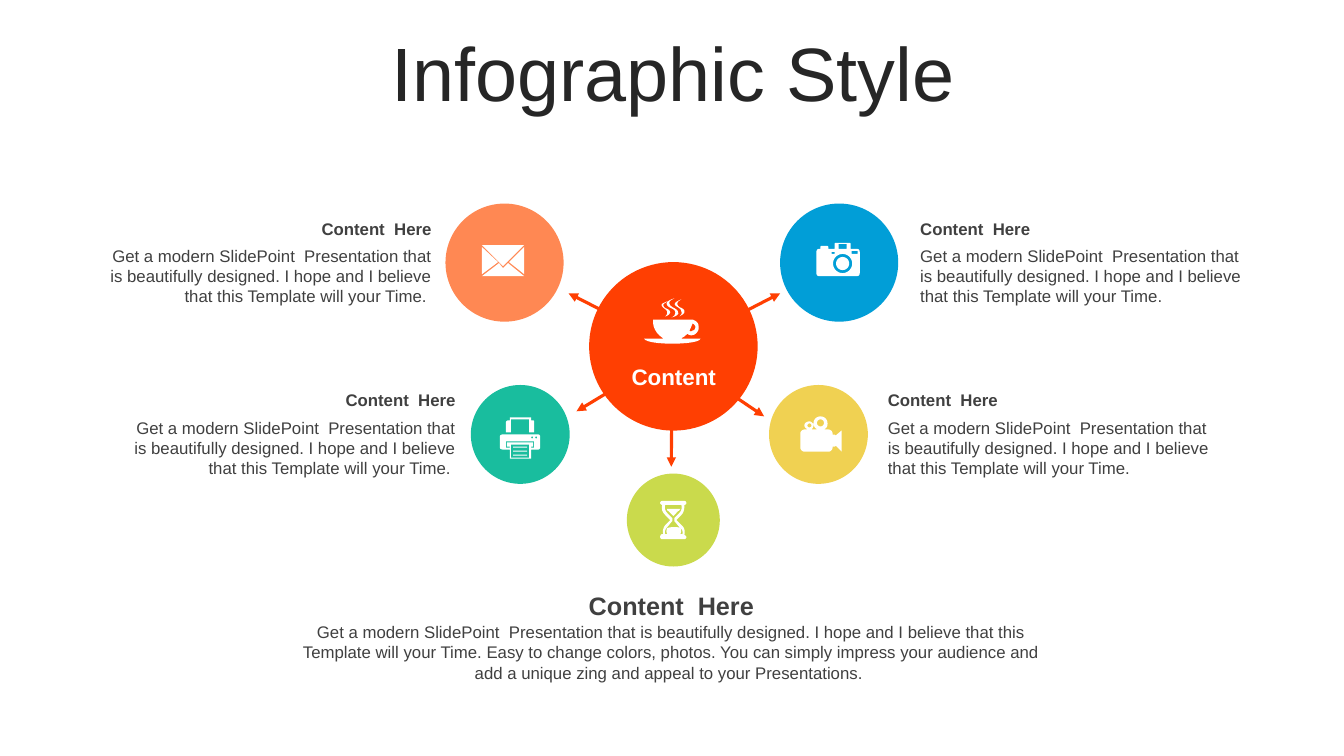
from dataclasses import dataclass
from math import cos, pi, sin

from lxml import etree
from pptx import Presentation
from pptx.dml.color import RGBColor
from pptx.enum import shapes, text
from pptx.oxml import ns
from pptx.util import Pt


@dataclass(frozen=True)
class Theme:
    """Colours, font and type sizes of the slide."""
    font: str = "Arial"
    title: str = "262626"
    ink: str = "404040"
    white: str = "FFFFFF"
    hub: str = "FF3F02"
    blue: str = "019ED7"
    orange: str = "FF8853"
    yellow: str = "F0D152"
    teal: str = "19BD9E"
    lime: str = "CADA4C"
    title_size: int = 54
    heading_size: int = 18
    hub_size: int = 16
    body_size: int = 12
    arrow_width: float = 2.25
    icon_unit: float = 0.72


MAIL = ["26 18 42 31 0 31 17 18 21 23", "42 2 42 29 27 17", "0 2 16 17 0 29",
        "0 0 42 0 21 21"]
PRINTER = [
    "R 13 37 27 38", "R 13 33 27 34", "R 13 29 27 30", "R 11 27 29 40",
    "6 24 6 30 10 30 10 29 7 29 7 25 33 25 33 29 31 29 31 30 34 30 34 24",
    "O 36 20 1", "O 32 20 1",
    "3 17 38 17 C 39 17 40 18 40 19 40 30 C 40 31 39 32 38 32 31 32 31 41 "
    "10 41 10 32 3 32 C 1 32 0 31 0 30 0 19 C 0 18 1 17 3 17",
    "10 0 31 0 31 3 33 3 C 34 3 34 4 34 5 34 15 29 15 29 2 11 2 11 15 "
    "6 15 6 5 C 6 4 7 3 8 3 10 3"]
HOURGLASS = [
    "14 26 C 16 26 18 26 20 27 C 21 29 21 31 20 33 7 33 C 6 31 6 29 7 27 "
    "C 10 26 12 26 14 26",
    "7 8 20 8 C 19 9 19 10 18 10 13 15 8 10 C 7 10 7 9 7 8",
    "5 4 C 4 7 5 10 7 12 12 17 12 20 7 26 C 5 28 4 31 5 33 22 33 "
    "C 23 31 22 28 19 26 14 20 14 17 19 12 C 21 10 22 7 21 4",
    "2 0 24 0 C 25 0 26 1 26 2 C 26 3 25 4 24 4 C 24 7 24 11 21 14 16 19 21 24 "
    "C 24 26 25 30 24 34 C 25 34 26 35 26 36 C 26 37 25 38 24 38 2 38 "
    "C 1 38 0 37 0 36 C 0 34 1 33 2 33 3 33 C 2 30 3 27 5 24 10 19 5 14 "
    "C 2 11 1 8 2 4 C 1 4 0 3 0 2 C 0 1 1 0 2 0"]
CAMERA = [
    "O 26 20.5 6.5", "O 26 20.5 9.5", "R 15 9 18 11", "R 35 8 41 11", "R 22 1 30 6",
    "20 0 32 0 C 33 0 34 0 34 1 34 6 40 6 C 42 6 43 7 43 9 43 30 "
    "C 43 32 42 33 40 33 3 33 C 1 33 0 32 0 30 0 9 C 0 7 1 6 3 6 4 6 4 4 "
    "C 4 4 4 3 5 3 11 3 C 11 3 12 4 12 4 12 6 18 6 18 1 C 18 0 19 0 20 0"]
FILM = [
    "O 9 9 2", "O 20 6.5 3.5",
    "20 0 C 24 0 27 3 27 7 C 27 10 26 12 23 13 28 13 C 30 13 32 15 32 17 32 18 34 18 "
    "C 34 18 35 19 35 19 41 14 41 35 35 29 C 35 30 34 30 34 30 32 30 32 31 "
    "C 32 33 30 35 28 35 4 35 C 2 35 0 33 0 31 0 17 C 0 15 2 13 4 13 7 13 "
    "C 6 12 4 11 4 9 C 4 7 6 5 9 5 C 11 5 13 7 13 9 C 13 11 12 12 11 13 17 13 "
    "C 15 12 13 10 13 7 C 13 3 16 0 20 0"]
CUP = [
    "48 25 C 47 28 46 30 45 32 C 46 33 47 33 48 32 C 50 32 51 30 51 28 C 50 26 49 25 48 25",
    "48 21 C 51 22 54 24 54 27 C 55 31 53 34 50 36 C 47 37 45 37 43 35 "
    "C 41 37 40 38 38 39 C 37 40 36 40 35 40 56 40 C 56 43 43 45 28 45 "
    "C 13 45 1 43 0 40 22 40 C 21 40 19 40 18 39 C 12 35 8 28 9 21",
    "23 3 C 21 5 19 5 19 7 C 20 11 26 10 26 14 C 25 16 24 17 21 18 "
    "C 23 16 23 15 23 14 C 23 11 19 10 18 8 C 16 6 18 5 23 3",
    "37 1 C 34 3 33 3 33 6 C 34 10 41 9 40 14 C 39 16 38 16 35 18 "
    "C 37 16 38 15 37 13 C 37 10 33 9 31 7 C 29 5 32 3 37 1",
    "30 0 C 27 2 25 2 25 5 C 26 10 34 9 34 15 C 33 17 31 18 27 19 "
    "C 30 18 31 16 31 14 C 31 10 25 10 23 7 C 21 4 24 2 30 0"]


def outline(contour):
    """Return the points of a contour: R is a box, O a disc, C a cubic curve."""
    kind, *rest = contour.split()
    if kind == "R":
        l, t, r, b = map(float, rest)
        return [(l, t), (r, t), (r, b), (l, b)]
    if kind == "O":
        x, y, radius = map(float, rest)
        return [(x + radius * cos(i * pi / 16), y + radius * sin(i * pi / 16))
                for i in range(32)]
    points, tokens = [], iter(contour.split())
    for token in tokens:
        if token != "C":
            points.append((float(token), float(next(tokens))))
            continue
        curve = [points[-1]] + [(float(next(tokens)), float(next(tokens))) for _ in range(3)]
        for t in (i / 6 for i in range(1, 7)):
            weights = ((1 - t) ** 3, 3 * t * (1 - t) ** 2, 3 * t * t * (1 - t), t ** 3)
            points.append(tuple(sum(w * p[axis] for w, p in zip(weights, curve))
                                for axis in (0, 1)))
    return points


class Canvas:
    """Draws styled elements on one slide, in points."""

    def __init__(self, slide, theme):
        """Keep the slide and its theme."""
        self.shapes, self.theme = slide.shapes, theme

    def paint(self, sp, color):
        """Give a shape a flat fill with no line or shadow."""
        sp.shadow.inherit = False
        sp.fill.solid()
        sp.fill.fore_color.rgb = RGBColor.from_string(color)
        sp.line.fill.background()

    def circle(self, x, y, size, color):
        """Draw a disc around a centre."""
        sp = self.shapes.add_shape(shapes.MSO_SHAPE.OVAL, Pt(x - size / 2),
                                   Pt(y - size / 2), Pt(size), Pt(size))
        self.paint(sp, color)

    def arrow(self, x1, y1, x2, y2):
        """Draw a line with a triangle at its end."""
        sp = self.shapes.add_connector(shapes.MSO_CONNECTOR.STRAIGHT,
                                       Pt(x1), Pt(y1), Pt(x2), Pt(y2))
        sp.line.width = Pt(self.theme.arrow_width)
        sp.line.color.rgb = RGBColor.from_string(self.theme.hub)
        etree.SubElement(sp.line._get_or_add_ln(), ns.qn("a:tailEnd"), type="triangle")
        etree.SubElement(sp._element.spPr, ns.qn("a:effectLst"))

    def icon(self, x, y, contours):
        """Draw a white glyph from its contours."""
        builder = None
        for contour in contours:
            points = [(Pt(px * self.theme.icon_unit), Pt(py * self.theme.icon_unit))
                      for px, py in outline(contour)]
            if builder is None:
                builder = self.shapes.build_freeform(*points[0])
            else:
                builder.move_to(*points[0])
            builder.add_line_segments(points[1:], close=True)
        self.paint(builder.convert_to_shape(Pt(x), Pt(y)), self.theme.white)

    def label(self, box, words, size, color, align="LEFT", bold=False, middle=True,
              spacing=None, fit=True):
        """Write one paragraph in a text box."""
        tf = self.shapes.add_textbox(*map(Pt, box)).text_frame
        sizing = text.MSO_AUTO_SIZE
        anchor = text.MSO_ANCHOR
        frame = {"word_wrap": True,
                 "auto_size": sizing.SHAPE_TO_FIT_TEXT if fit else sizing.NONE,
                 "vertical_anchor": anchor.MIDDLE if middle else anchor.TOP}
        p = tf.paragraphs[0]
        r = p.add_run()
        r.text = words
        formats = ((tf, frame),
                   (p, {"alignment": text.PP_ALIGN[align], "line_spacing": spacing}),
                   (r.font, {"name": self.theme.font, "size": Pt(size), "bold": bold}))
        for target, values in formats:
            for name, value in values.items():
                setattr(target, name, value)
        r.font.color.rgb = RGBColor.from_string(color)

    def note(self, x, y, width, body, align, size):
        """Write a bold heading with a body text under it."""
        th = self.theme
        self.label((x, y, width, 21.8), "Content  Here", size, th.ink, align, bold=True)
        self.label((x, y + 19.5, width, 51), body, th.body_size, th.ink, align, middle=False)


def main():
    """Build the slide and save it."""
    prs = Presentation()
    prs.slide_width, prs.slide_height = Pt(960), Pt(540)
    th = Theme()
    s = Canvas(prs.slides.add_slide(prs.slide_layouts[6]), th)
    s.label((25.2, 26.6, 911.5, 56.9), "Infographic Style", th.title_size, th.title,
            "CENTER", spacing=0.9, fit=False)

    intro = "Get a modern SlidePoint  Presentation that is beautifully designed. I hope and I believe that this Template will your Time."
    more = " Easy to change colors, photos. You can simply impress your audience and add a unique zing and appeal to your Presentations. "
    s.note(208.1, 421.2, 542.9, intro + more, "CENTER", th.heading_size)
    for x, y, align in ((650.2, 152.6, "LEFT"), (627.1, 275, "LEFT"),
                        (63.4, 152.6, "RIGHT"), (80.6, 275, "RIGHT")):
        body = intro + " " if align == "RIGHT" else intro
        s.note(x, y, 252, body, align, th.body_size)

    for ends in ((480.2, 254.9, 479.5, 333.4), (481, 247.7, 406.1, 209.5),
                 (483.1, 247.7, 557.3, 209.5), (477.4, 251.3, 545.8, 297.4),
                 (482.4, 251.3, 411.8, 293.8)):
        s.arrow(*ends)
    for x, y, size, color, left, top, glyph in (
            (481, 247.4, 120.4, th.hub, 460.1, 213.1, CUP),
            (599.4, 187.6, 84.4, th.blue, 583.2, 173.5, CAMERA),
            (360.4, 187.6, 84.4, th.orange, 344.2, 175, MAIL),
            (584.6, 310.3, 70.6, th.yellow, 571.7, 297.4, FILM),
            (371.6, 310.3, 70.6, th.teal, 357.1, 298.1, PRINTER),
            (481, 371.5, 66.4, th.lime, 471.6, 357.8, HOURGLASS)):
        s.circle(x, y, size, color)
        s.icon(left, top, glyph)
    s.label((422.6, 255.6, 117.4, 26.6), "Content", th.hub_size, th.white, "CENTER", bold=True)
    prs.save("out.pptx")


if __name__ == "__main__":
    main()
